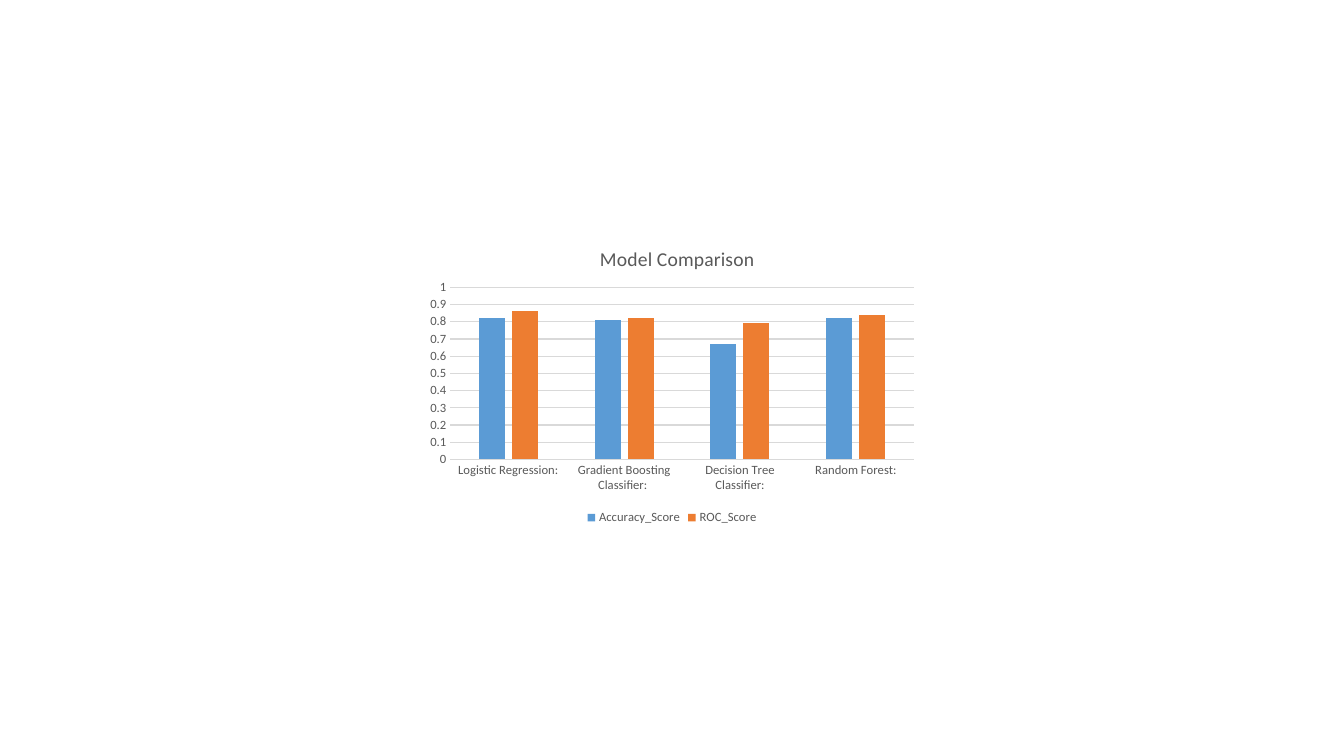
import dataclasses

import lxml.etree
import pptx
import pptx.chart.data
import pptx.dml.color
import pptx.enum.chart
import pptx.oxml.ns
import pptx.util

PX = 914400 / 100.8
SLIDE_SIZE = (1344, 756)
CHART_BOX = (420, 227, 504, 302)
TITLE_BOX = (174, 16)
PLOT_BOX = (30, 61, 464, 172)

CATEGORIES = (
    "Logistic Regression:",
    "Gradient Boosting Classifier: ",
    "Decision Tree Classifier:",
    "Random Forest:",
)
SCORES = {
    "Accuracy_Score": (0.82, 0.81, 0.67, 0.82),
    "ROC_Score": (0.86, 0.82, 0.79, 0.84),
}


@dataclasses.dataclass(frozen=True)
class Theme:
    font: str = "Calibri"
    text: str = "595959"
    rule: str = "D9D9D9"
    bars: tuple = ("5B9BD5", "ED7D31")
    title_size: int = 14
    label_size: int = 9
    rule_width: float = 0.75


THEME = Theme()


def px(length):
    return pptx.util.Emu(round(length * PX))


def rgb(value):
    return pptx.dml.color.RGBColor.from_string(value)


def apply_format(target, values):
    for name, value in values.items():
        setattr(target, name, value)


def style_font(font, size):
    apply_format(font, {"name": THEME.font, "size": pptx.util.Pt(size), "bold": False})
    font.color.rgb = rgb(THEME.text)


def style_rule(line):
    line.color.rgb = rgb(THEME.rule)
    line.width = pptx.util.Pt(THEME.rule_width)


def place_part(element, index, values):
    qn = pptx.oxml.ns.qn
    for old_layout in element.findall(qn("c:layout")):
        element.remove(old_layout)
    layout = lxml.etree.Element(qn("c:layout"))
    manual = lxml.etree.SubElement(layout, qn("c:manualLayout"))
    for name, value in values.items():
        lxml.etree.SubElement(manual, qn(f"c:{name}")).set("val", str(value))
    element.insert(index, layout)


def fractions(box):
    sizes = CHART_BOX[2:] * 2
    return {name: round(part / size, 2) for name, part, size in zip("xywh", box, sizes)}


def add_title(chart, text):
    chart.has_title = True
    title = chart.chart_title
    title.include_in_layout = False
    span = title.text_frame.paragraphs[0].add_run()
    span.text = text
    style_font(span.font, THEME.title_size)
    modes = {"xMode": "edge", "yMode": "edge"}
    place_part(title._element, 1, modes | fractions(TITLE_BOX))


def style_axes(chart):
    chart_enum = pptx.enum.chart
    for axis in (chart.category_axis, chart.value_axis):
        apply_format(axis, {
            "major_tick_mark": chart_enum.XL_TICK_MARK.NONE,
            "minor_tick_mark": chart_enum.XL_TICK_MARK.NONE,
        })
        style_font(axis.tick_labels.font, THEME.label_size)
    style_rule(chart.category_axis.format.line)
    apply_format(chart.value_axis, {
        "minimum_scale": 0,
        "maximum_scale": 1,
        "major_unit": 0.1,
        "has_major_gridlines": True,
    })
    chart.value_axis.format.line.fill.background()
    style_rule(chart.value_axis.major_gridlines.format.line)


def style_bars(chart):
    plot = chart.plots[0]
    apply_format(plot, {"gap_width": 219, "overlap": -27, "vary_by_categories": False})
    for series, color in zip(plot.series, THEME.bars):
        series.format.fill.solid()
        series.format.fill.fore_color.rgb = rgb(color)
        series.invert_if_negative = False


def add_legend(chart):
    chart.has_legend = True
    apply_format(chart.legend, {
        "position": pptx.enum.chart.XL_LEGEND_POSITION.BOTTOM,
        "include_in_layout": False,
    })
    style_font(chart.legend.font, THEME.label_size)


def add_score_chart(page):
    data = pptx.chart.data.CategoryChartData()
    data.categories = CATEGORIES
    for name, values in SCORES.items():
        data.add_series(name, values)
    kind = pptx.enum.chart.XL_CHART_TYPE.COLUMN_CLUSTERED
    chart = page.shapes.add_chart(kind, *map(px, CHART_BOX), data).chart
    style_font(chart.font, THEME.label_size)
    add_title(chart, "Model Comparison")
    style_axes(chart)
    style_bars(chart)
    add_legend(chart)
    plot_area = chart._chartSpace.chart.plotArea
    modes = {"layoutTarget": "inner", "xMode": "edge", "yMode": "edge"}
    place_part(plot_area, 0, modes | fractions(PLOT_BOX))


def main():
    deck = pptx.Presentation()
    deck.slide_width, deck.slide_height = map(px, SLIDE_SIZE)
    page = deck.slides.add_slide(deck.slide_layouts[6])
    add_score_chart(page)
    deck.save("out.pptx")


if __name__ == "__main__":
    main()
